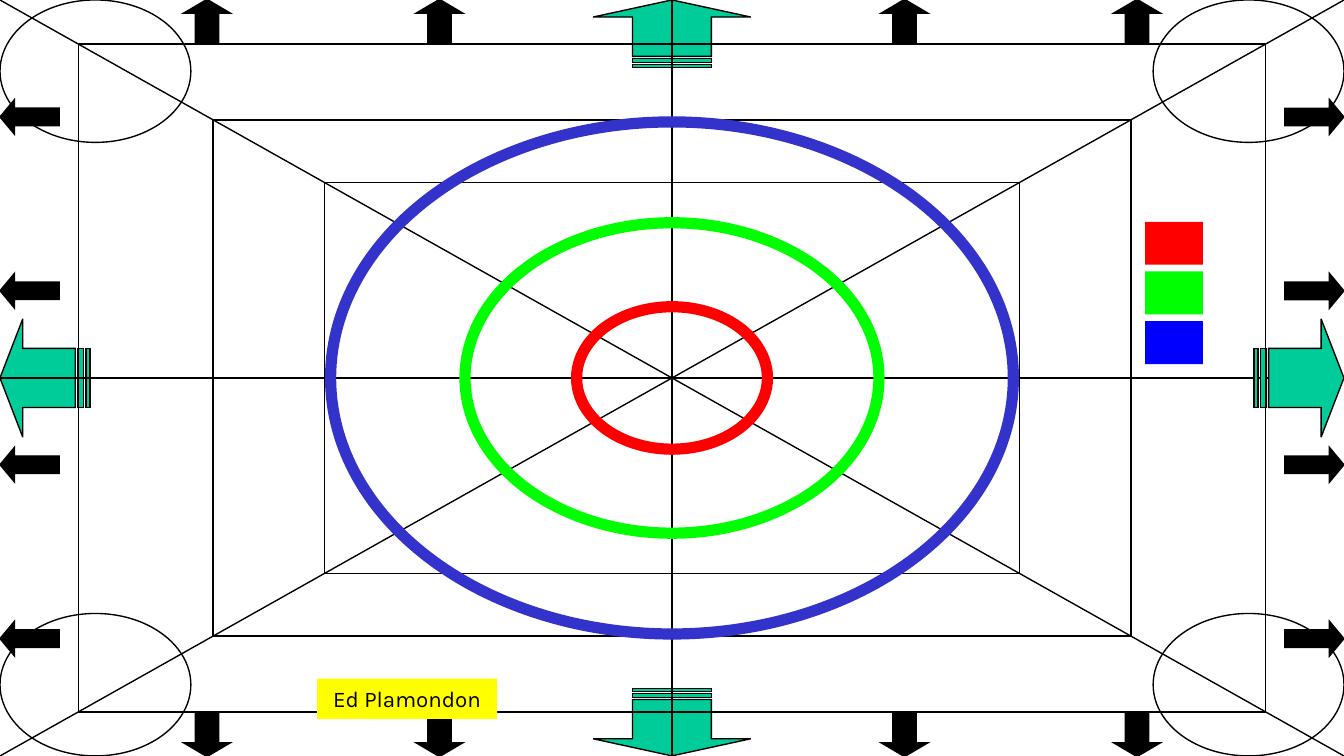
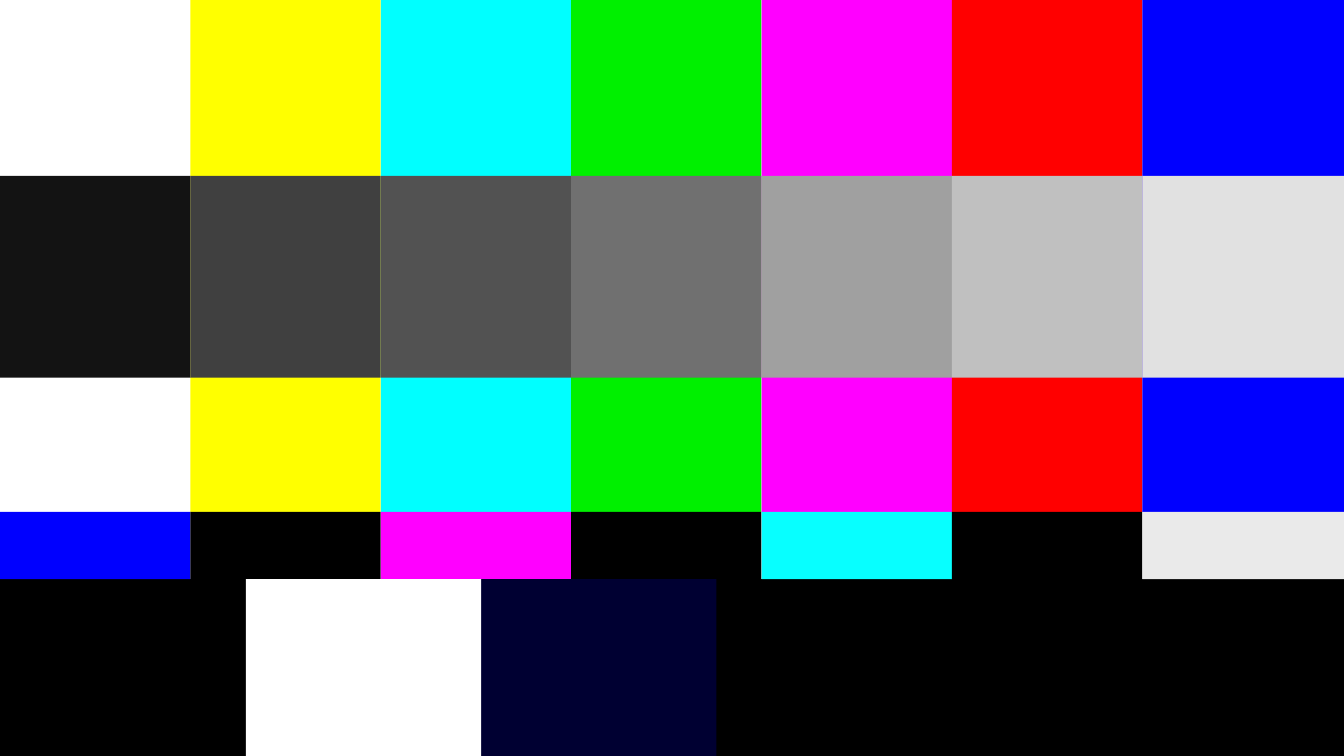
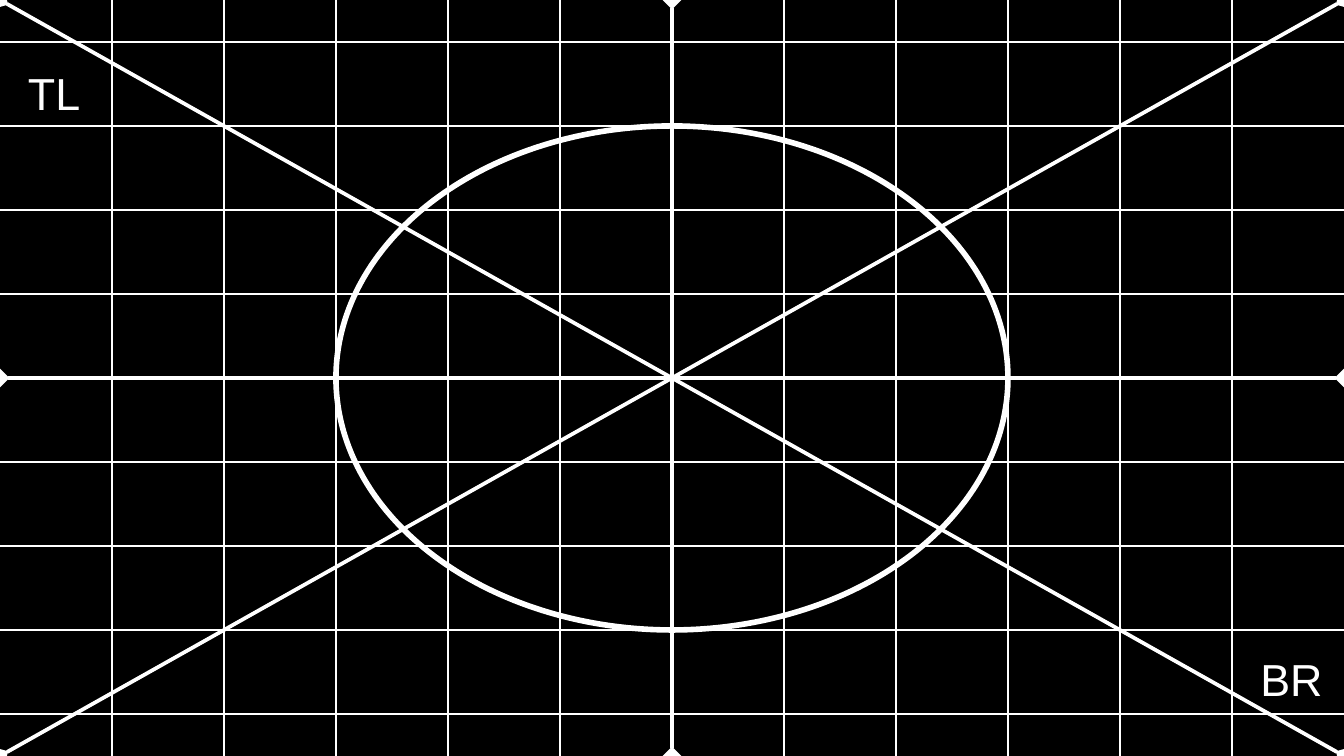
from lxml import etree
from pptx import Presentation
from pptx.dml.color import RGBColor
from pptx.enum.shapes import MSO_CONNECTOR, MSO_SHAPE
from pptx.enum.text import MSO_ANCHOR, MSO_AUTO_SIZE, PP_ALIGN
from pptx.oxml.ns import qn
from pptx.util import Inches, Pt

RECT = MSO_SHAPE.RECTANGLE
OVAL = MSO_SHAPE.OVAL
DOWN_ARROW = MSO_SHAPE.DOWN_ARROW
STRAIGHT = MSO_CONNECTOR.STRAIGHT
LEFT = PP_ALIGN.LEFT
CENTER = PP_ALIGN.CENTER
TOP = MSO_ANCHOR.TOP
FIT_SHAPE = MSO_AUTO_SIZE.SHAPE_TO_FIT_TEXT

WIDTH = 10
HEIGHT = WIDTH * 9 / 16
MID_X, MID_Y = WIDTH / 2, HEIGHT / 2

BLACK = RGBColor(0x00, 0x00, 0x00)
WHITE = RGBColor(0xFF, 0xFF, 0xFF)
RED = RGBColor(0xFF, 0x00, 0x00)
GREEN = RGBColor(0x00, 0xFF, 0x00)
BLUE = RGBColor(0x00, 0x00, 0xFF)
YELLOW = RGBColor(0xFF, 0xFF, 0x00)
CYAN = RGBColor(0x00, 0xFF, 0xFF)
MAGENTA = RGBColor(0xFF, 0x00, 0xFF)
RING_BLUE = RGBColor(0x33, 0x33, 0xCC)
TEAL = RGBColor(0x00, 0xCC, 0x99)
BAR_GREEN = RGBColor(0x00, 0xF0, 0x00)
BAR_CYAN = RGBColor(0x07, 0xFF, 0xFF)
BAR_WHITE = RGBColor(0xEA, 0xEA, 0xEA)
NAVY = RGBColor(0x00, 0x00, 0x32)
GRAYS = [RGBColor(v, v, v) for v in (0x13, 0x40, 0x52, 0x70, 0xA0, 0xC0, 0xE1)]

THIN = 0.75
BAR_WIDTH = 17 / 12
ARROW_PARTS = [
    [(0.17, -0.44), (0.17, -0.22), (0.56, -0.22), (0.56, 0.22), (0.17, 0.22), (0.17, 0.44), (0, 0)],
    [(0.62, -0.22), (0.62, 0.22), (0.58, 0.22), (0.58, -0.22)],
    [(0.67, -0.22), (0.67, 0.22), (0.64, 0.22), (0.64, -0.22)],
]


def add_slide(prs, background):
    slide = prs.slides.add_slide(prs.slide_layouts[6])
    slide.background.fill.solid()
    slide.background.fill.fore_color.rgb = background
    return slide


def paint(shape, fill, line, weight):
    shape.shadow.inherit = False
    if fill is None:
        shape.fill.background()
    else:
        shape.fill.solid()
        shape.fill.fore_color.rgb = fill
    if line is None:
        shape.line.fill.background()
    else:
        shape.line.color.rgb = line
        shape.line.width = Pt(weight)
        etree.SubElement(shape.line._get_or_add_ln(), qn("a:miter"), lim="800000")


def add_figure(shapes, kind, left, top, width, height, fill=None, line=None, weight=THIN):
    figure = shapes.add_shape(kind, Inches(left), Inches(top), Inches(width), Inches(height))
    paint(figure, fill, line, weight)
    return figure


def add_centered(shapes, kind, width, height, line, weight=THIN):
    add_figure(shapes, kind, MID_X - width / 2, MID_Y - height / 2, width, height, None, line, weight)


def add_line(shapes, start, end, color, weight, tips=None):
    line = shapes.add_connector(STRAIGHT, *(Inches(v) for v in (*start, *end)))
    line.line.color.rgb = color
    line.line.width = Pt(weight)
    if tips:
        outline = line.line._get_or_add_ln()
        for end_tag in ("a:headEnd", "a:tailEnd"):
            etree.SubElement(outline, qn(end_tag), type=tips, w="lg", len="lg")
    etree.SubElement(line._element.spPr, qn("a:effectLst"))


def add_axes(shapes, color, weight, tips=None):
    for start, end in (
        ((0, 0), (WIDTH, HEIGHT)),
        ((0, HEIGHT), (WIDTH, 0)),
        ((MID_X, 0), (MID_X, HEIGHT)),
        ((0, MID_Y), (WIDTH, MID_Y)),
    ):
        add_line(shapes, start, end, color, weight, tips)


def add_edge_arrow(shapes, place):
    contours = [[tuple(Inches(v) for v in place(*point)) for point in part] for part in ARROW_PARTS]
    builder = shapes.build_freeform(*contours[0][0])
    builder.add_line_segments(contours[0][1:])
    for contour in contours[1:]:
        builder.move_to(*contour[0])
        builder.add_line_segments(contour[1:])
    paint(builder.convert_to_shape(), TEAL, BLACK, THIN)


def add_small_arrow(shapes, center_x, center_y, width, height, head, rotation):
    arrow = add_figure(shapes, DOWN_ARROW, center_x - width / 2, center_y - height / 2,
                       width, height, BLACK, BLACK)
    arrow.adjustments[0] = 0.5
    arrow.adjustments[1] = head
    arrow.rotation = rotation


def write(shape, text, font, size, color, align):
    frame = shape.text_frame
    frame.word_wrap = False
    frame.auto_size = FIT_SHAPE
    frame.vertical_anchor = TOP
    paragraph = frame.paragraphs[0]
    paragraph.alignment = align
    run = paragraph.add_run()
    run.text = text
    run.font.name = font
    run.font.size = Pt(size)
    run.font.color.rgb = color


def add_bars(shapes, colors, top, height):
    for column, color in enumerate(colors):
        left = column * BAR_WIDTH
        width = WIDTH - left if column == len(colors) - 1 else BAR_WIDTH
        add_figure(shapes, RECT, left, top, width, height, color)


def build_geometry(prs):
    shapes = add_slide(prs, WHITE).shapes
    add_edge_arrow(shapes, lambda depth, across: (depth, MID_Y + across))
    add_edge_arrow(shapes, lambda depth, across: (MID_X + across * 4 / 3, depth * 0.75))
    add_edge_arrow(shapes, lambda depth, across: (MID_X + across * 4 / 3, HEIGHT - depth * 0.75))
    add_axes(shapes, BLACK, THIN)
    for width, height in ((8.83, 4.97), (6.83, 3.84), (5.17, 2.91)):
        add_centered(shapes, RECT, width, height, BLACK)
    corner_width, corner_height = 1.42, 1.06
    for left in (0, WIDTH - corner_width):
        for top in (0, HEIGHT - corner_height):
            add_figure(shapes, OVAL, left, top, corner_width, corner_height, None, BLACK)
    for width, height, color in ((1.42, 1.06, RED), (3.08, 2.31, GREEN), (5.08, 3.81, RING_BLUE)):
        add_centered(shapes, OVAL, width, height, color, 6)
    add_edge_arrow(shapes, lambda depth, across: (WIDTH - depth, MID_Y + across))

    for center_y, rotation in ((HEIGHT - 0.16, 0), (0.16, 180)):
        for step in (-2, -1, 1, 2):
            add_small_arrow(shapes, MID_X + step * 1.73, center_y, 0.35, 0.33, 0.312, rotation)
    for center_x, rotation in ((0.22, 90), (WIDTH - 0.22, 270)):
        side = shapes.add_group_shape().shapes
        for row in range(4):
            add_small_arrow(side, center_x, 0.87 + row * 1.294, 0.26, 0.44, 0.416, rotation)

    swatches = shapes.add_group_shape().shapes
    for row, color in enumerate((RED, GREEN, BLUE)):
        add_figure(swatches, RECT, 8.52, 1.65 + row * 0.37, 0.43, 0.32, color)
    author = add_figure(shapes, RECT, 2.36, 5.05, 1.34, 0.3, YELLOW)
    write(author, "Ed Plamondon", "Karla", 12, BLACK, CENTER)


def build_color_bars(prs):
    shapes = add_slide(prs, WHITE).shapes
    base_top = 4.31
    base_height = HEIGHT - base_top
    add_figure(shapes, RECT, 0, base_top, WIDTH, base_height, BLACK)
    add_bars(shapes, (WHITE, YELLOW, CYAN, BAR_GREEN, MAGENTA, RED, BLUE), 0, 3.81)
    add_bars(shapes, (BLUE, BLACK, MAGENTA, BLACK, BAR_CYAN, BLACK, BAR_WHITE), 3.81, 0.5)
    for left, color in ((3.58, NAVY), (1.83, WHITE)):
        add_figure(shapes, RECT, left, base_top, 1.75, base_height, color)
    add_bars(shapes, GRAYS, 1.31, 1.5)


def build_grid(prs):
    shapes = add_slide(prs, BLACK).shapes
    add_axes(shapes, WHITE, 2, "diamond")
    for column in range(1, 12):
        if column != 6:
            x = column * WIDTH / 12
            add_line(shapes, (x, 0), (x, HEIGHT), WHITE, 1)
    for step in range(-4, 5):
        if step:
            y = MID_Y + step * HEIGHT / 9
            add_line(shapes, (0, y), (WIDTH, y), WHITE, 1)
    for text, left, top, width in (("TL", 0.11, 0.44, 0.59), ("BR", 9.28, 4.8, 0.66)):
        corner = shapes.add_textbox(Inches(left), Inches(top), Inches(width), Inches(0.5))
        write(corner, text, "Arial", 24, WHITE, LEFT)
    add_centered(shapes, OVAL, 5, 3.75, WHITE, 3)


def main():
    prs = Presentation()
    prs.slide_width = Inches(WIDTH)
    prs.slide_height = Inches(HEIGHT)
    build_geometry(prs)
    build_color_bars(prs)
    build_grid(prs)
    prs.save("out.pptx")


if __name__ == "__main__":
    main()
